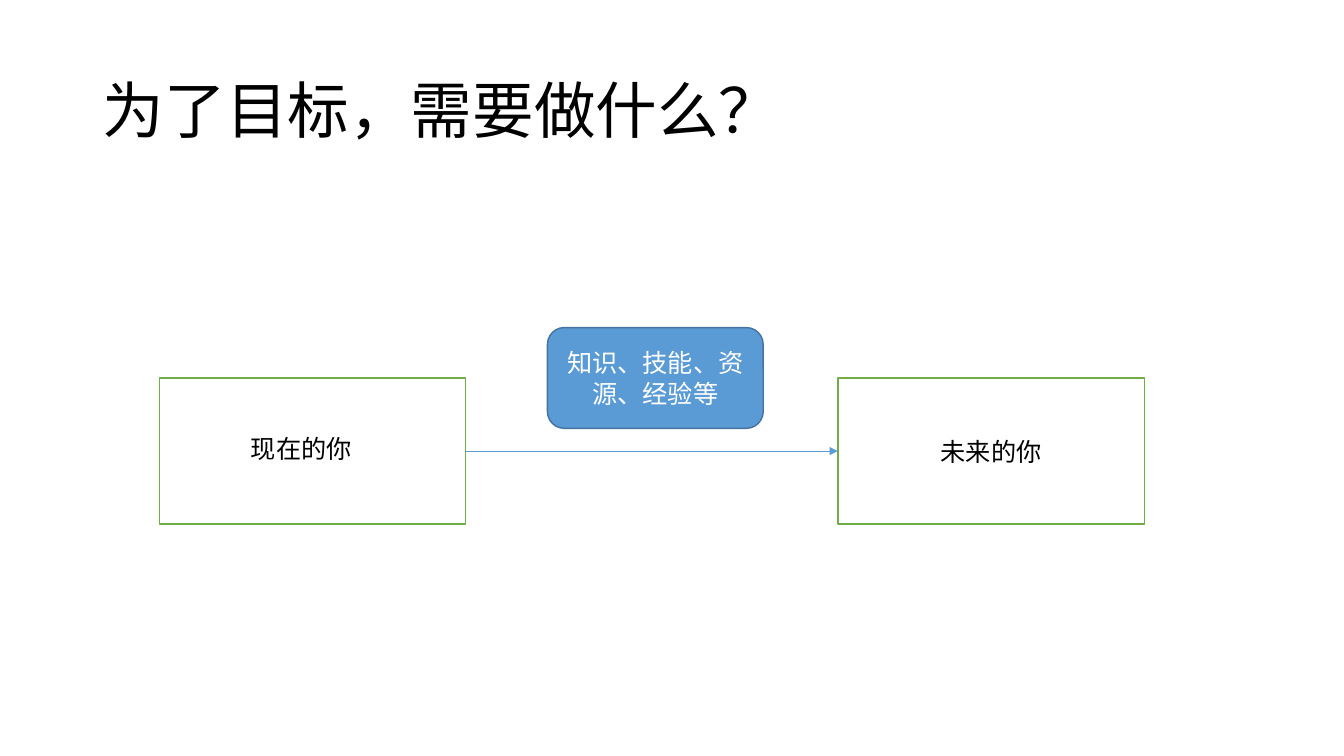
from lxml import etree
from pptx import Presentation
from pptx.dml.color import RGBColor
from pptx.enum.shapes import MSO_CONNECTOR, MSO_SHAPE
from pptx.enum.text import MSO_ANCHOR, MSO_AUTO_SIZE, PP_ALIGN
from pptx.oxml.ns import qn
from pptx.util import Inches, Pt

TITLE = "为了目标，需要做什么？"
PRESENT = "现在的你"
FUTURE = "未来的你"
MEANS = "知识、技能、资源、经验等"

FONT = "Calibri"
BLACK = RGBColor(0x00, 0x00, 0x00)
WHITE = RGBColor(0xFF, 0xFF, 0xFF)
GREEN = RGBColor(0x70, 0xAD, 0x47)
BLUE = RGBColor(0x5B, 0x9B, 0xD5)
DARK_BLUE = RGBColor(0x43, 0x73, 0x9E)

RECTANGLE = MSO_SHAPE.RECTANGLE
ROUNDED = MSO_SHAPE.ROUNDED_RECTANGLE
LEFT, CENTER = PP_ALIGN.LEFT, PP_ALIGN.CENTER
MIDDLE, TOP = MSO_ANCHOR.MIDDLE, MSO_ANCHOR.TOP

SLIDE_W, SLIDE_H = Inches(13.33), Inches(7.5)
STATE_W, STATE_H = Inches(3.04), Inches(1.45)
STATE_TOP = SLIDE_H // 2
PRESENT_LEFT, FUTURE_LEFT = Inches(1.58), Inches(8.31)
MEANS_W, MEANS_H = Inches(2.14), Inches(1)
MEANS_LEFT, MEANS_TOP = Inches(5.43), Inches(3.25)
LABEL_W, LABEL_H = Inches(1.42), Inches(0.4)


def write(shape, text, size, color, align, anchor):
    frame = shape.text_frame
    frame.word_wrap = True
    frame.vertical_anchor = anchor
    paragraph = frame.paragraphs[0]
    paragraph.alignment = align
    run = paragraph.add_run()
    run.text = text
    run.font.name = FONT
    run.font.size = Pt(size)
    run.font.color.rgb = color
    return frame


def add_box(slide, kind, left, top, width, height, fill, outline):
    box = slide.shapes.add_shape(kind, left, top, width, height)
    box.shadow.inherit = False
    box.fill.solid()
    box.fill.fore_color.rgb = fill
    box.line.color.rgb = outline
    box.line.width = Pt(1)
    return box


def add_arrow(slide, start, end, y):
    arrow = slide.shapes.add_connector(MSO_CONNECTOR.STRAIGHT, start, y, end, y)
    arrow.line.color.rgb = BLUE
    arrow.line.width = Pt(0.5)
    line = arrow.line._get_or_add_ln()
    etree.SubElement(line, qn("a:tailEnd"), type="triangle")
    etree.SubElement(arrow._element.spPr, qn("a:effectLst"))


def main():
    deck = Presentation()
    deck.slide_width, deck.slide_height = SLIDE_W, SLIDE_H
    slide = deck.slides.add_slide(deck.slide_layouts[5])

    title = slide.shapes.title
    title.left, title.top = Inches(0.92), Inches(0.4)
    title.width, title.height = Inches(11.5), Inches(1.45)
    frame = write(title, TITLE, 44, BLACK, LEFT, MIDDLE)
    frame.auto_size = MSO_AUTO_SIZE.NONE
    frame.paragraphs[0].line_spacing = 0.9

    add_box(slide, RECTANGLE, PRESENT_LEFT, STATE_TOP, STATE_W, STATE_H, WHITE, GREEN)
    label = slide.shapes.add_textbox(
        PRESENT_LEFT + (STATE_W - LABEL_W) // 2, Inches(4.25), LABEL_W, LABEL_H)
    frame = write(label, PRESENT, 18, BLACK, LEFT, TOP)
    frame.auto_size = MSO_AUTO_SIZE.SHAPE_TO_FIT_TEXT

    future = add_box(slide, RECTANGLE, FUTURE_LEFT, STATE_TOP, STATE_W, STATE_H, WHITE, GREEN)
    write(future, FUTURE, 18, BLACK, CENTER, MIDDLE)

    add_arrow(slide, PRESENT_LEFT + STATE_W, FUTURE_LEFT, STATE_TOP + STATE_H // 2)

    means = add_box(slide, ROUNDED, MEANS_LEFT, MEANS_TOP, MEANS_W, MEANS_H, BLUE, DARK_BLUE)
    write(means, MEANS, 18, WHITE, CENTER, MIDDLE)

    deck.save("out.pptx")


if __name__ == "__main__":
    main()
